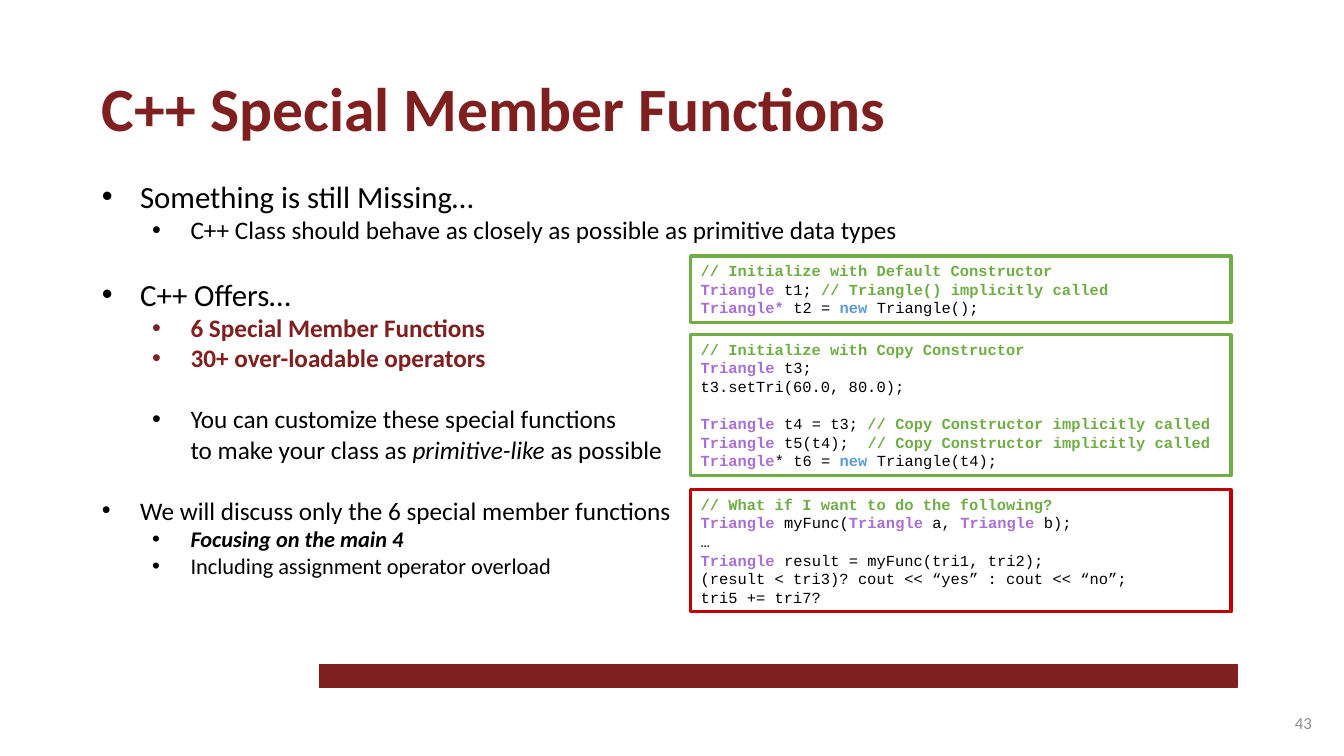
from lxml.etree import SubElement
from pptx import Presentation
from pptx.dml.color import RGBColor
from pptx.enum.shapes import MSO_SHAPE as Shape
from pptx.enum.text import MSO_ANCHOR as Anchor, MSO_AUTO_SIZE as AutoSize, PP_ALIGN as Align
from pptx.oxml.ns import qn
from pptx.util import Inches, Pt

MAROON, BLACK, WHITE, GRAY = "7F1F1F", "000000", "FFFFFF", "8C8C8C"
GREEN, RED = "70AD47", "C00000"
CODE_STYLES = {"note": (GREEN, True), "type": ("A870D2", True),
               "key": ("5B9BD5", True), "plain": (BLACK, False)}
BODY_GAP, CODE_PITCH = 22, 13.3

OUTLINE = [
    dict(text="Something is still Missing…", size=22),
    dict(text="C++ Class should behave as closely as possible as primitive data types", level=1),
    dict(text="C++ Offers…", size=22, gap=BODY_GAP),
    dict(text="6 Special Member Functions", level=1, color=MAROON, bold=True),
    dict(text="30+ over-loadable operators", level=1, color=MAROON, bold=True),
    dict(text="You can customize these special functions\vto make your class as *primitive-like* as possible",
         level=1, gap=BODY_GAP),
    dict(text="We will discuss only the 6 special member functions", gap=BODY_GAP),
    dict(text="*Focusing on the main 4*", level=1, size=16, bold=True),
    dict(text="Including assignment operator overload", level=1, size=16),
]

DEFAULT_CONSTRUCTOR = [
    [("note", "// Initialize with Default Constructor")],
    [("type", "Triangle "), ("plain", "t1; "), ("note", "// Triangle() implicitly called")],
    [("type", "Triangle* "), ("plain", "t2 = "), ("key", "new"), ("plain", " Triangle();")],
]
COPY_NOTE = ("note", "// Copy Constructor implicitly called")
COPY_CONSTRUCTOR = [
    [("note", "// Initialize with Copy Constructor")],
    [("type", "Triangle "), ("plain", "t3;")],
    [("plain", "t3.setTri(60.0, 80.0);")],
    [],
    [("type", "Triangle "), ("plain", "t4 = t3; "), COPY_NOTE],
    [("type", "Triangle"), ("plain", " t5(t4);  "), COPY_NOTE],
    [("type", "Triangle"), ("plain", "* t6 = "), ("key", "new"), ("plain", " Triangle(t4);")],
]
OPERATORS = [
    [("note", "// What if I want to do the following?")],
    [("type", "Triangle "), ("plain", "myFunc("), ("type", "Triangle"), ("plain", " a, "),
     ("type", "Triangle"), ("plain", " b);")],
    [("plain", "…")],
    [("type", "Triangle "), ("plain", "result = myFunc(tri1, tri2);")],
    [("plain", "(result < tri3)? cout << “yes” : cout << “no”;")],
    [("plain", "tri5 += tri7?")],
]


def rgb(value):
    """Return the colour for a hex string."""
    return RGBColor.from_string(value)


def set_font(font, name, size, color, bold=False):
    """Apply the basic look to a font."""
    font.name, font.size, font.bold = name, Pt(size), bold
    font.color.rgb = rgb(color)


def place(part, box):
    """Move a part to a box of left, top, width and height in inches."""
    part.left, part.top, part.width, part.height = map(Inches, box)


def prepare_frame(frame, anchor=Anchor.TOP):
    """Give a text frame wrapping, fixed size and the common insets."""
    frame.word_wrap, frame.auto_size, frame.vertical_anchor = True, AutoSize.NONE, anchor
    frame.margin_left = frame.margin_right = Inches(0.1)
    frame.margin_top = frame.margin_bottom = Inches(0.05)


def add_bullet(paragraph, level):
    """Set the hanging indent and round bullet of a level."""
    paragraph.level = level
    props = paragraph._p.get_or_add_pPr()
    props.set("marL", str(Inches(0.38 + 0.5 * level)))
    props.set("indent", str(Inches(-0.38)))
    SubElement(props, qn("a:buFont")).set("typeface", "Arial")
    SubElement(props, qn("a:buChar")).set("char", "•")


def add_title(slide, box):
    """Fill the title placeholder."""
    title = slide.shapes.title
    place(title, box)
    prepare_frame(title.text_frame)
    heading = title.text_frame.paragraphs[0]
    heading.text = "C++ Special Member Functions"
    heading.alignment = Align.LEFT
    set_font(heading.font, "Calibri", 44, MAROON, True)


def add_point(paragraph, text, level=0, size=18, color=BLACK, bold=False, gap=0):
    """Write one bullet, with starred words in italics."""
    add_bullet(paragraph, level)
    paragraph.space_before, paragraph.space_after = Pt(gap), Pt(0)
    paragraph.line_spacing = 1.0
    set_font(paragraph.font, "Calibri", size, color, bold)
    for row, line in enumerate(text.split("\v")):
        if row:
            paragraph.add_line_break()
        for index, words in enumerate(line.split("*")):
            if words:
                run = paragraph.add_run()
                run.text = words
                if index % 2:
                    run.font.italic = True


def add_outline(slide, box):
    """Fill the body placeholder with the bullets."""
    body = slide.placeholders[1]
    place(body, box)
    frame = body.text_frame
    prepare_frame(frame)
    for index, point in enumerate(OUTLINE):
        add_point(frame.add_paragraph() if index else frame.paragraphs[0], **point)


def add_rectangle(slide, box, fill, line, width):
    """Add a flat rectangle."""
    rectangle = slide.shapes.add_shape(Shape.RECTANGLE, *map(Inches, box))
    rectangle.shadow.inherit = False
    rectangle.fill.solid()
    rectangle.fill.fore_color.rgb = rgb(fill)
    rectangle.line.color.rgb = rgb(line)
    rectangle.line.width = Pt(width)
    return rectangle


def add_code(slide, box, border, lines):
    """Add a bordered code listing, where an empty line opens a gap."""
    frame = add_rectangle(slide, box, WHITE, border, 2.25).text_frame
    prepare_frame(frame)
    gap = 0
    for index, line in enumerate(lines):
        if not line:
            gap = CODE_PITCH
            continue
        paragraph = frame.add_paragraph() if index else frame.paragraphs[0]
        paragraph.alignment = Align.LEFT
        paragraph.line_spacing, paragraph.space_before = Pt(CODE_PITCH), Pt(gap)
        paragraph.font.name, paragraph.font.size = "Courier New", Pt(11)
        gap = 0
        for style, code in line:
            run = paragraph.add_run()
            run.text = code
            color, run.font.bold = CODE_STYLES[style]
            run.font.color.rgb = rgb(color)


def add_page_number(slide, box):
    """Add the page number at the right of its box."""
    frame = slide.shapes.add_textbox(*map(Inches, box)).text_frame
    prepare_frame(frame, Anchor.MIDDLE)
    number = frame.paragraphs[0]
    number.text = "43"
    number.alignment = Align.RIGHT
    set_font(number.font, "Calibri", 12, GRAY)


def main():
    """Build the slide and save it."""
    deck = Presentation()
    deck.slide_width, deck.slide_height = Inches(13.33), Inches(7.5)
    slide = deck.slides.add_slide(deck.slide_layouts[1])
    add_rectangle(slide, (3.17, 6.59, 9.1, 0.23), MAROON, MAROON, 1)
    add_title(slide, (0.91, 0.64, 11.12, 0.84))
    add_outline(slide, (0.91, 1.71, 10.14, 4.41))
    add_page_number(slide, (10.11, 6.97, 3, 0.4))
    for top, height, border, lines in [(2.54, 0.66, GREEN, DEFAULT_CONSTRUCTOR),
                                       (3.32, 1.4, GREEN, COPY_CONSTRUCTOR),
                                       (4.86, 1.21, RED, OPERATORS)]:
        add_code(slide, (6.85, top, 5.36, height), border, lines)
    deck.save("out.pptx")


if __name__ == "__main__":
    main()
